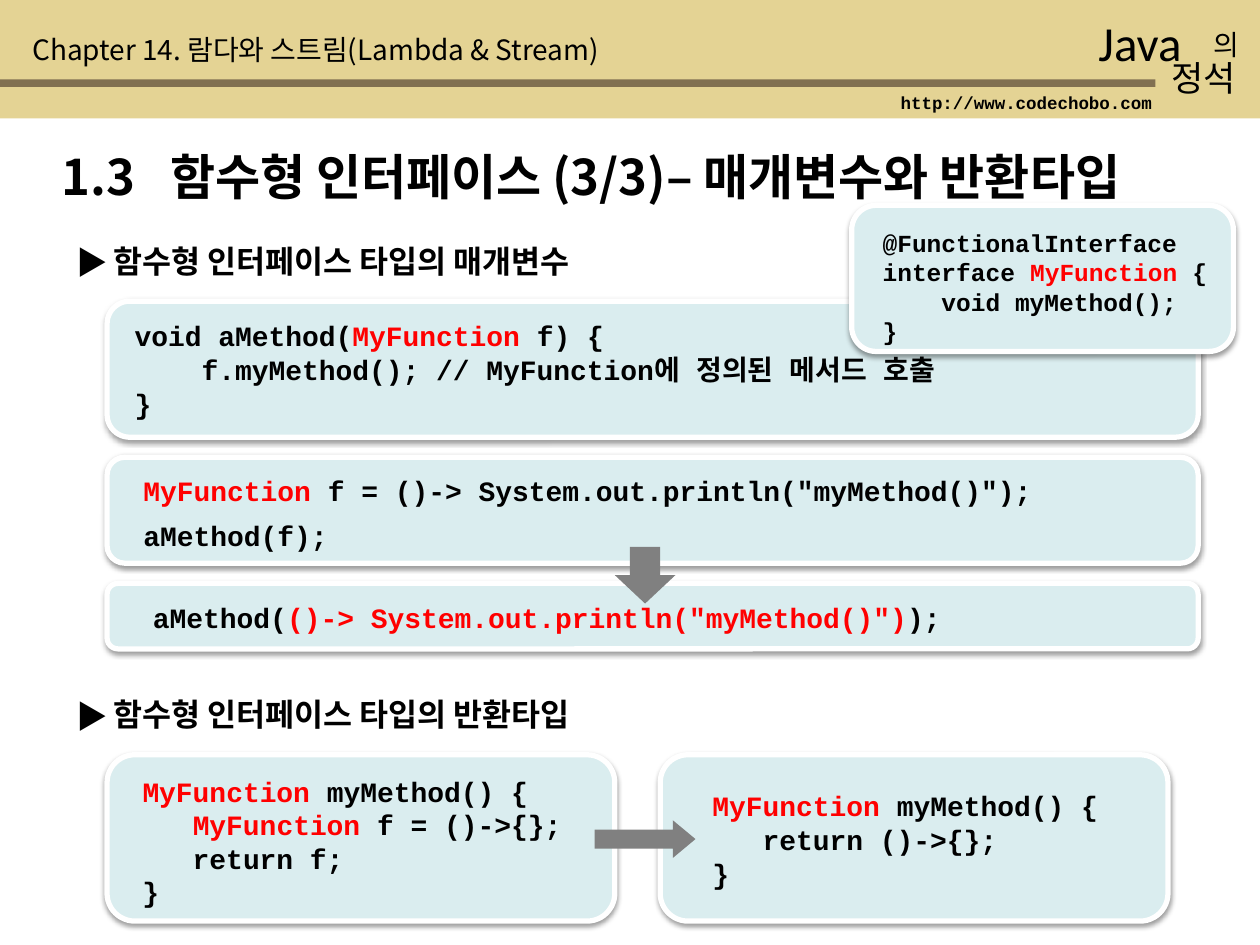
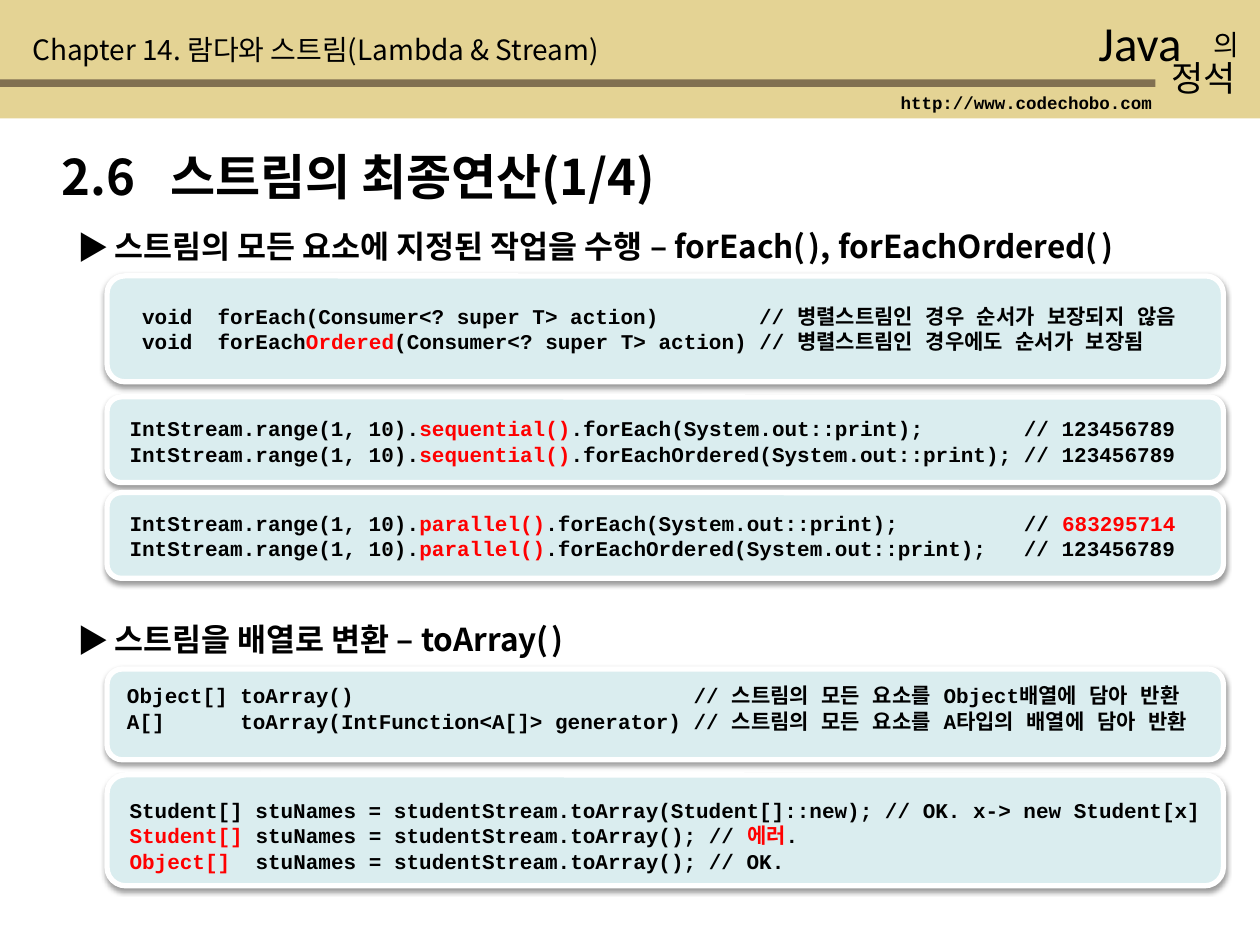
from lxml import etree
from pptx import Presentation
from pptx.dml.color import RGBColor
from pptx.enum.shapes import MSO_SHAPE
from pptx.enum.text import MSO_ANCHOR, MSO_AUTO_SIZE, PP_ALIGN
from pptx.oxml.ns import qn
from pptx.util import Inches, Pt

BLACK = RGBColor(0x00, 0x00, 0x00)
WHITE = RGBColor(0xFF, 0xFF, 0xFF)
RED = RGBColor(0xFF, 0x00, 0x00)
SAND = RGBColor(0xE4, 0xD3, 0x94)
BROWN = RGBColor(0x81, 0x70, 0x51)
PALE_BLUE = RGBColor(0xDA, 0xED, 0xEF)
GRAY = RGBColor(0x80, 0x80, 0x80)

SANS = "Noto Sans CJK KR"
MONO = "Courier New"
LATIN = "Calibri"

RECTANGLE = MSO_SHAPE.RECTANGLE
ROUNDED = MSO_SHAPE.ROUNDED_RECTANGLE
DOWN_ARROW = MSO_SHAPE.DOWN_ARROW
RIGHT_ARROW = MSO_SHAPE.RIGHT_ARROW
TOP, MIDDLE, BOTTOM = MSO_ANCHOR.TOP, MSO_ANCHOR.MIDDLE, MSO_ANCHOR.BOTTOM
NO_AUTO_SIZE = MSO_AUTO_SIZE.NONE
ALIGN_LEFT = PP_ALIGN.LEFT

TITLE_ONLY = 5
COLUMNS, ROWS = 100, 75
PANEL_LEFT = 8.5


class Deck:
    def __init__(self):
        self.presentation = Presentation()
        self.presentation.slide_width = Inches(10)
        self.presentation.slide_height = Inches(7.5)
        self.slide = None

    def box(self, left, top, width, height):
        column = self.presentation.slide_width / COLUMNS
        row = self.presentation.slide_height / ROWS
        return [round(length) for length in
                (left * column, top * row, width * column, height * row)]

    def add_slide(self, number, title):
        layout = self.presentation.slide_layouts[TITLE_ONLY]
        self.slide = self.presentation.slides.add_slide(layout)
        self.shape(RECTANGLE, (0, 0, 100, 9.4), SAND)
        self.shape(RECTANGLE, (0, 6.3, 91.7, 0.6), BROWN)
        self.label((86.2, 0.5, 13.3, 5.7), "Java", 28, LATIN)
        self.label((95.3, 1.7, 5.9, 3.7), "의", 16)
        self.label((92, 4, 8.9, 4.3), "정석", 20)
        self.label((70.5, 6.8, 22, 2.7), "http://www.codechobo.com",
                   10, MONO, True)
        self.label((1.6, 2.1, 62.2, 3.7),
                   "Chapter 14. 람다와 스트림(Lambda & Stream)", 16)
        self.title(number, title)

    def title(self, number, title):
        shape = self.slide.shapes.title
        shape.left, shape.top, shape.width, shape.height = self.box(
            3.9, 11.1, 93.7, 5.7)
        self.frame(shape, MIDDLE, 0)
        paragraph = shape.text_frame.paragraphs[0]
        tabs = self.paragraph_element(paragraph, "a:tabLst")
        etree.SubElement(tabs, qn("a:tab"), pos=str(Inches(0.86)), algn="l")
        self.add_runs(paragraph, f"{number}\t{title}", 28, SANS, True)

    def frame(self, shape, anchor, vertical_margin=Inches(0.05)):
        frame = shape.text_frame
        frame.word_wrap = True
        frame.auto_size = NO_AUTO_SIZE
        frame.vertical_anchor = anchor
        frame.margin_left = frame.margin_right = Inches(0.1)
        frame.margin_top = frame.margin_bottom = vertical_margin
        return frame

    def paragraph_element(self, paragraph, tag, **attributes):
        properties = paragraph._p.get_or_add_pPr()
        return etree.SubElement(properties, qn(tag), **attributes)

    def add_runs(self, paragraph, text, size, font, bold,
                 marked_color=BLACK, marked_size=None):
        paragraph.alignment = ALIGN_LEFT
        for index, part in enumerate(text.split("|")):
            if not part:
                continue
            marked = index % 2 == 1
            run = paragraph.add_run()
            run.text = part
            run.font.name = font
            run.font.size = Pt(marked_size if marked and marked_size else size)
            run.font.bold = bold
            run.font.color.rgb = marked_color if marked else BLACK
            properties = run._r.get_or_add_rPr()
            etree.SubElement(properties, qn("a:ea"), typeface=font)

    def shape(self, kind, area, color):
        shape = self.slide.shapes.add_shape(kind, *self.box(*area))
        shape.shadow.inherit = False
        shape.fill.solid()
        shape.fill.fore_color.rgb = color
        shape.line.fill.background()
        return shape

    def label(self, area, text, size, font=SANS, bold=False):
        shape = self.slide.shapes.add_textbox(*self.box(*area))
        frame = self.frame(shape, MIDDLE, 0)
        self.add_runs(frame.paragraphs[0], text, size, font, bold)

    def heading(self, left, top, text):
        shape = self.slide.shapes.add_textbox(*self.box(left, top, 94.1, 4))
        paragraph = self.frame(shape, MIDDLE, 0).paragraphs[0]
        properties = paragraph._p.get_or_add_pPr()
        properties.set("marL", str(Inches(0.29)))
        properties.set("indent", str(-Inches(0.29)))
        self.paragraph_element(paragraph, "a:buFont", typeface=SANS)
        self.paragraph_element(paragraph, "a:buChar", char="▶")
        self.add_runs(paragraph, text, 18, SANS, True, marked_size=8)

    def panel(self, area):
        shape = self.shape(ROUNDED, area, PALE_BLUE)
        shape.line.color.rgb = WHITE
        shape.line.width = Pt(3)
        effects = shape._element.spPr.find(qn("a:effectLst"))
        shadow = etree.SubElement(
            effects, qn("a:outerShdw"), blurRad=str(Pt(3.1)),
            dist=str(Pt(1.6)), dir="5400000", rotWithShape="0")
        color = etree.SubElement(shadow, qn("a:srgbClr"), val="000000")
        etree.SubElement(color, qn("a:alpha"), val="38000")

    def code(self, area, lines, size, anchor=BOTTOM, gap=0):
        shape = self.slide.shapes.add_textbox(*self.box(*area))
        frame = self.frame(shape, anchor)
        for index, line in enumerate(lines):
            paragraph = frame.add_paragraph() if index else frame.paragraphs[0]
            paragraph.space_before = Pt(gap if index else 0)
            self.add_runs(paragraph, line, size, MONO, True, RED)


def functional_interface_slide(deck):
    deck.add_slide("1.3", "함수형 인터페이스 (3/3)– 매개변수와 반환타입")
    deck.heading(5.1, 18.7, "함수형 인터페이스 타입의 매개변수")
    deck.panel((PANEL_LEFT, 23.9, 86.6, 10.8))
    deck.code((9.7, 24.7, 84.7, 9.1), [
        "void aMethod(|MyFunction| f) {",
        "    f.myMethod(); // MyFunction에 정의된 메서드 호출",
        "}",
    ], 16)
    deck.panel((67.6, 16.3, 30.3, 11.6))
    deck.code((67.9, 17.6, 29.7, 10.3), [
        " @FunctionalInterface",
        " interface |MyFunction| {",
        "     void myMethod();",
        " }",
    ], 14, TOP)
    deck.panel((PANEL_LEFT, 36.3, 86.6, 8.4))
    deck.code((10.4, 37.1, 84.7, 7.2), [
        "|MyFunction |f = ()-> System.out.println(\"myMethod()\");",
        "aMethod(f);",
    ], 16, MIDDLE, 6)
    deck.panel((PANEL_LEFT, 46.3, 86.6, 5.2))
    deck.code((PANEL_LEFT, 47.1, 85, 3.7), [
        "  aMethod(|()-> System.out.println(\"myMethod()\")|);",
    ], 16)
    deck.shape(DOWN_ARROW, (48.8, 43.4, 4.8, 4.5), GRAY)

    deck.heading(5.1, 54.7, "함수형 인터페이스 타입의 반환타입")
    deck.panel((PANEL_LEFT, 59.9, 40.3, 13.2))
    deck.code((9, 60.8, 39.4, 11.8), [
        " |MyFunction |myMethod() {",
        "    |MyFunction |f = ()->{};",
        "    return f;",
        " }",
    ], 16)
    deck.panel((52.4, 59.9, 40.3, 13.2))
    deck.code((52.9, 62, 39.4, 9.1), [
        "  |MyFunction |myMethod() {",
        "     return ()->{};",
        "  }",
    ], 16)
    arrow = deck.shape(RIGHT_ARROW, (47.2, 65.1, 8, 3), GRAY)
    arrow.adjustments[1] = 0.6


def terminal_operations_slide(deck):
    deck.add_slide("2.6", "스트림의 최종연산(1/4)")
    deck.heading(5.2, 17.5, "스트림의 모든 요소에 지정된 작업을 수행 – "
                 "forEach(| |), forEachOrdered(| |)")
    deck.heading(5.2, 48.7, "스트림을 배열로 변환 – toArray(| |)")
    panels = [
        (21.9, 8.4, 9.3, 23.6, 5, [
            " void  forEach(Consumer<? super T> action)        "
            "// 병렬스트림인 경우 순서가 보장되지 않음",
            " void  forEach|Ordered|(Consumer<? super T> action) "
            "// 병렬스트림인 경우에도 순서가 보장됨",
        ]),
        (31.5, 6.8, 9.3, 32.5, 5, [
            "IntStream.range(1, 10).|sequential()|"
            ".forEach(System.out::print);        // 123456789",
            "IntStream.range(1, 10).|sequential()|"
            ".forEachOrdered(System.out::print); // 123456789",
        ]),
        (39.1, 6.8, 9.3, 40, 5, [
            "IntStream.range(1, 10).|parallel()|"
            ".forEach(System.out::print);          // |683295714",
            "IntStream.range(1, 10).|parallel()|"
            ".forEachOrdered(System.out::print);   // 123456789",
        ]),
        (53.1, 7.2, 8.1, 53.7, 5, [
            " Object[] toArray()                           "
            "// 스트림의 모든 요소를 Object배열에 담아 반환",
            " A[]      toArray(IntFunction<A[]> generator) "
            "// 스트림의 모든 요소를 A타입의 배열에 담아 반환",
        ]),
        (61.5, 8.8, 9.3, 62.7, 7.1, [
            "Student[] stuNames = studentStream.toArray(Student[]::new); "
            "// OK. x-> new Student[x]",
            "|Student[] |stuNames = studentStream.toArray(); // |에러|.",
            "|Object[]  |stuNames = studentStream.toArray(); // OK.",
        ]),
    ]
    for top, height, code_left, code_top, code_height, lines in panels:
        deck.panel((PANEL_LEFT, top, 88.6, height))
        deck.code((code_left, code_top, 89.4, code_height), lines, 12)


def main():
    deck = Deck()
    functional_interface_slide(deck)
    terminal_operations_slide(deck)
    deck.presentation.save("out.pptx")


if __name__ == "__main__":
    main()
